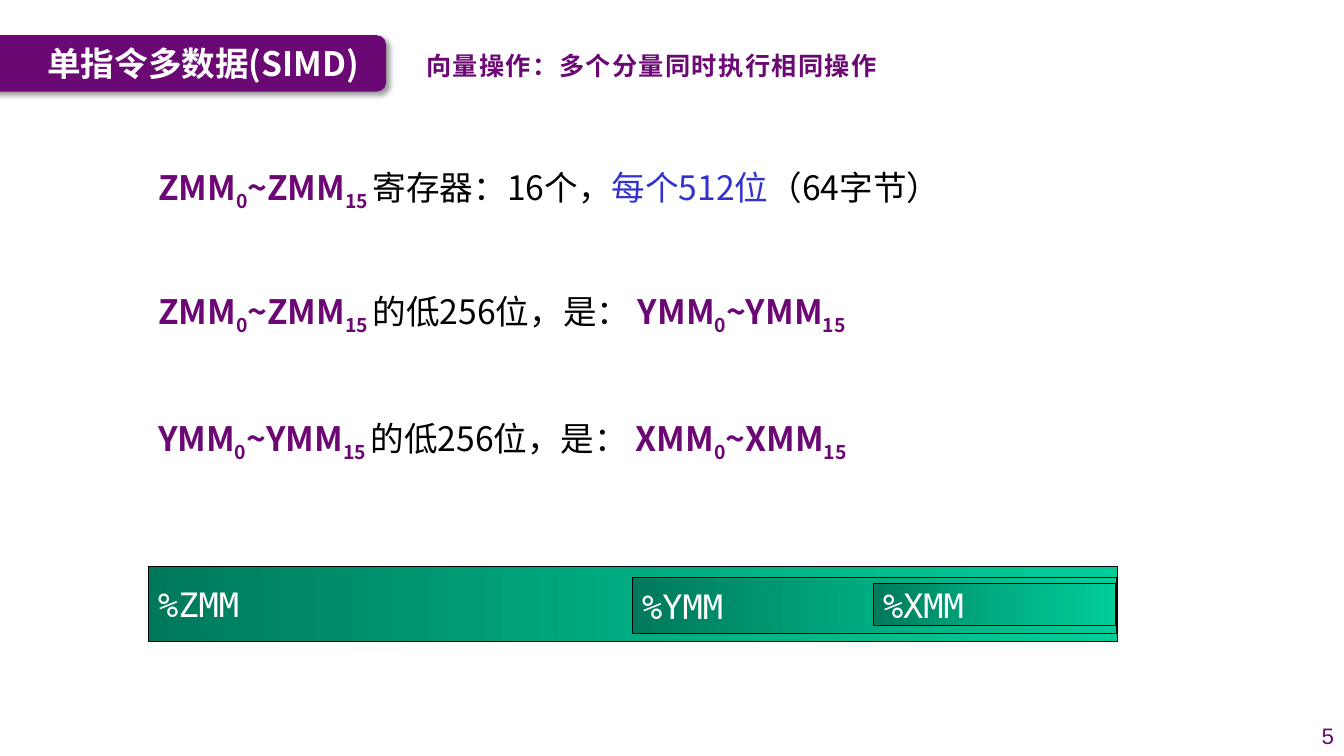
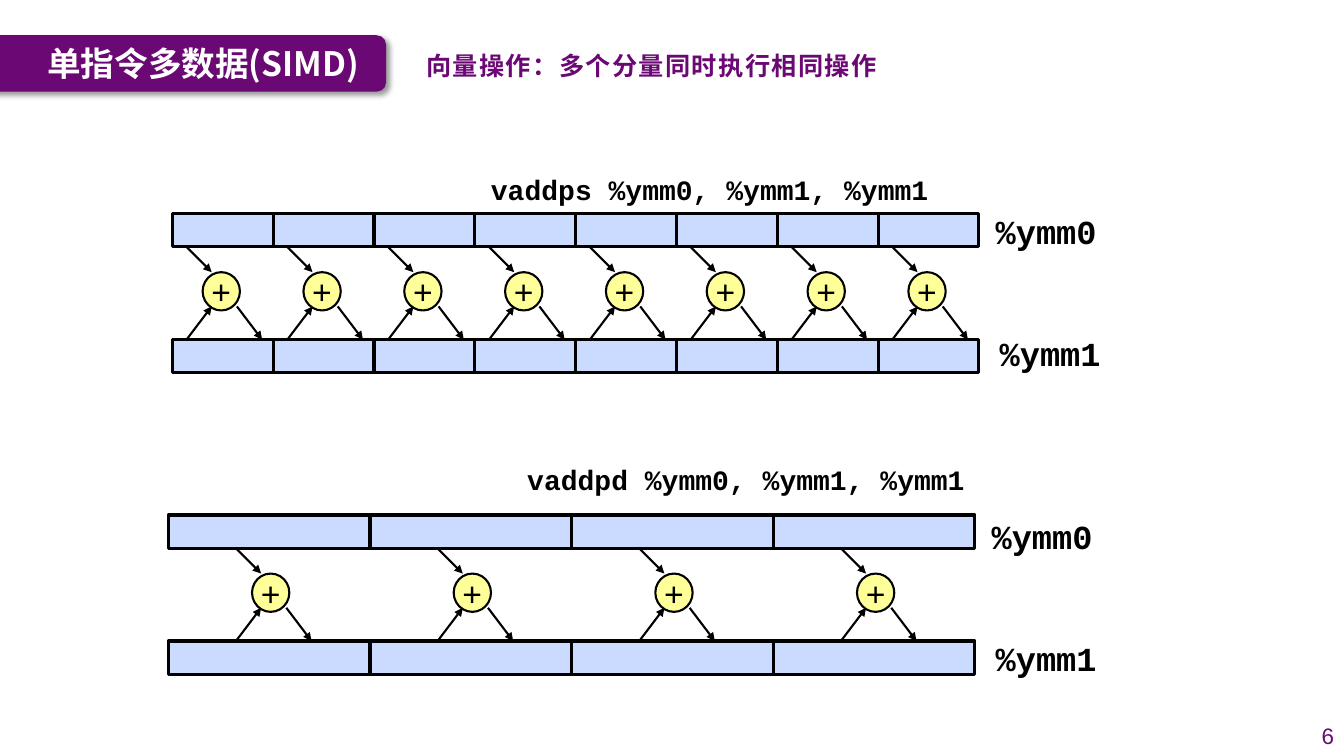
from copy import deepcopy
from dataclasses import dataclass
from typing import NamedTuple

from lxml.etree import SubElement
from pptx import Presentation
from pptx.dml.color import RGBColor
from pptx.enum.shapes import MSO_CONNECTOR, MSO_SHAPE
from pptx.enum.text import MSO_ANCHOR, PP_ALIGN
from pptx.oxml.ns import qn
from pptx.util import Inches, Pt

BAND = RGBColor(0x6A, 0x08, 0x74)
PLUM = RGBColor(0x6B, 0x08, 0x74)
BLUE = RGBColor(0x33, 0x33, 0xCC)
BLACK = RGBColor(0, 0, 0)
WHITE = RGBColor(0xFF, 0xFF, 0xFF)
CELL = RGBColor(0xCB, 0xDB, 0xFF)
LEMON = RGBColor(0xFF, 0xFF, 0x99)
GREENS = (
    (0, RGBColor(0x00, 0x79, 0x5B)),
    (0.5, RGBColor(0x00, 0xAC, 0x81)),
    (1, RGBColor(0x00, 0xCC, 0x99)),
)
SANS = "Noto Sans CJK SC"
MONO = "DejaVu Sans Mono"
CODE = "Courier New"
TIGHT = 0.05


class Box(NamedTuple):
    left: float
    top: float
    width: float
    height: float


class Run(NamedTuple):
    text: str
    color: RGBColor = BLACK
    bold: bool = False
    sub: bool = False


class Style(NamedTuple):
    font: str
    size: int
    align: PP_ALIGN = PP_ALIGN.LEFT
    anchor: MSO_ANCHOR = MSO_ANCHOR.TOP
    wrap: bool = True
    inset: float = 0.1
    lines: float = 1
    track: int = 0


HEAD = Style(SANS, 24, anchor=MSO_ANCHOR.MIDDLE)
LEAD = Style(SANS, 18, wrap=False, track=100)
PAGE = Style("Arial", 16, PP_ALIGN.RIGHT, MSO_ANCHOR.MIDDLE)
BODY = Style(SANS, 24, lines=1.05)
BAR = Style(MONO, 24, anchor=MSO_ANCHOR.MIDDLE)
NAME = Style(CODE, 24, PP_ALIGN.CENTER, wrap=False, inset=TIGHT)
CALL = NAME._replace(size=20)
PLUS = NAME._replace(anchor=MSO_ANCHOR.MIDDLE)


@dataclass
class Sum:
    code: str
    spot: Box
    left: float
    top: float
    count: int
    pitch: float
    inset: float
    drop: float


SUMS = (
    Sum("vaddps %ymm0, %ymm1, %ymm1", Box(4.8, 1.66, 4.48, 0.44),
        1.71, 2.12, 8, 1, 0.3, -0.08),
    Sum("vaddpd %ymm0, %ymm1, %ymm1", Box(5.16, 4.54, 4.48, 0.44),
        1.67, 5.11, 4, 2, 0.83, -0.04),
)
ROW = 1.25
ARROWS = (
    ((-0.16, 0.33), (0.09, 0.58)),
    ((-0.16, ROW), (0.09, 0.92)),
    ((0.34, 0.92), (0.59, ROW)),
)
BARS = (
    ("%ZMM", Box(1.47, 5.62, 9.61, 0.74)),
    ("%YMM", Box(6.27, 5.73, 4.8, 0.56)),
    ("%XMM", Box(8.66, 5.79, 2.4, 0.42)),
)


def place(box: Box) -> list:
    return [Inches(side) for side in box]


def write(shape, runs: list[Run], style: Style) -> None:
    frame = shape.text_frame
    frame.word_wrap = style.wrap
    frame.vertical_anchor = style.anchor
    frame.margin_left = frame.margin_right = Inches(style.inset)
    frame.margin_top = frame.margin_bottom = Inches(TIGHT)
    para = frame.paragraphs[0]
    para.alignment = style.align
    para.line_spacing = style.lines
    for item in runs:
        run = para.add_run()
        run.text = item.text
        font = run.font
        font.name = style.font
        font.size = Pt(style.size)
        font.bold = item.bold
        font.color.rgb = item.color
        props = run._r.get_or_add_rPr()
        SubElement(props, qn("a:ea")).set("typeface", style.font)
        if item.sub:
            props.set("baseline", "-25000")
        if style.track:
            props.set("spc", str(style.track))


def label(slide, box: Box, runs: list[Run], style: Style) -> None:
    write(slide.shapes.add_textbox(*place(box)), runs, style)


def form(slide, kind: MSO_SHAPE, box: Box, fill: RGBColor | None, line: float):
    shape = slide.shapes.add_shape(kind, *place(box))
    shape.shadow.inherit = False
    if fill is not None:
        shape.fill.solid()
        shape.fill.fore_color.rgb = fill
    if line:
        shape.line.color.rgb = BLACK
        shape.line.width = Pt(line)
    else:
        shape.line.fill.background()
    return shape


def shade(shape) -> None:
    effects = shape._element.spPr.find(qn("a:effectLst"))
    cast = SubElement(effects, qn("a:outerShdw"), blurRad=str(Pt(4)),
                      dist=str(Pt(3)), dir="2700000", algn="tl", rotWithShape="0")
    tint = SubElement(cast, qn("a:srgbClr"), val=str(BLACK))
    SubElement(tint, qn("a:alpha"), val="40000")


def blend(shape) -> None:
    fill = shape.fill
    fill.gradient()
    fill.gradient_angle = 0
    stops = shape._element.spPr.find(".//" + qn("a:gsLst"))
    stops.append(deepcopy(stops[0]))
    for stop, (pos, color) in zip(fill.gradient_stops, GREENS):
        stop.position = pos
        stop.color.rgb = color


def arrow(slide, start: tuple, end: tuple) -> None:
    ends = [Inches(part) for part in (*start, *end)]
    link = slide.shapes.add_connector(MSO_CONNECTOR.STRAIGHT, *ends)
    link.line.color.rgb = BLACK
    link.line.width = Pt(1.5)
    SubElement(link.line._get_or_add_ln(), qn("a:tailEnd"), type="triangle")
    SubElement(link._element.spPr, qn("a:effectLst"))


def start(deck, page: int):
    slide = deck.slides.add_slide(deck.slide_layouts[6])
    shade(form(slide, MSO_SHAPE.ROUNDED_RECTANGLE,
               Box(-0.2, 0.35, 4.03, 0.56), BAND, 0))
    label(slide, Box(0.37, 0.35, 3.46, 0.55),
          [Run("单指令多数据(SIMD)", WHITE, True)], HEAD)
    label(slide, Box(12.78, 7.1, 0.55, 0.4), [Run(str(page), BAND)], PAGE)
    label(slide, Box(4.13, 0.45, 4.73, 0.4),
          [Run("向量操作：多个分量同时执行相同操作", PLUM, True)], LEAD)
    return slide


def span(name: str, tail: str = "") -> list[Run]:
    parts = ((name, False), ("0", True), (f"~{name}", False), (f"15{tail}", True))
    return [Run(text, PLUM, True, sub) for text, sub in parts]


def files(deck) -> None:
    slide = start(deck, 5)
    low = Run("的低256位，是： ")
    rows = (
        (1.58, [*span("ZMM", " "), Run("寄存器：16个，"),
                Run("每个512位", BLUE), Run("（64字节）")]),
        (2.81, [*span("ZMM", " "), low, *span("YMM")]),
        (4.07, [*span("YMM", " "), low, *span("XMM")]),
    )
    for top, runs in rows:
        label(slide, Box(1.47, top, 9.4, 0.56), runs, BODY)
    for name, box in BARS:
        bar = form(slide, MSO_SHAPE.RECTANGLE, box, None, 0.75)
        blend(bar)
        write(bar, [Run(name, WHITE)], BAR)


def cells(slide, item: Sum, top: float) -> None:
    for col in range(item.count):
        box = Box(item.left + col * item.pitch, top, item.pitch, 0.33)
        form(slide, MSO_SHAPE.RECTANGLE, box, CELL, 2.25)


def adder(slide, left: float, top: float) -> None:
    disc = form(slide, MSO_SHAPE.OVAL, Box(left, top + 0.58, 0.37, 0.38), LEMON, 1.5)
    write(disc, [Run("+")], PLUS)
    for ends in ARROWS:
        arrow(slide, *((left + x, top + y) for x, y in ends))


def draw(slide, item: Sum) -> None:
    label(slide, item.spot, [Run(item.code, bold=True)], CALL)
    cells(slide, item, item.top)
    for col in range(item.count):
        adder(slide, item.left + item.inset + col * item.pitch, item.top)
    cells(slide, item, item.top + ROW)
    for row in range(2):
        box = Box(item.left + 8.11 + row * 0.04,
                  item.top + item.drop + row * 1.21, 1.11, 0.5)
        label(slide, box, [Run(f"%ymm{row}", bold=True)], NAME)


def main() -> None:
    deck = Presentation()
    deck.slide_width = Inches(13.33)
    deck.slide_height = Inches(7.5)
    files(deck)
    slide = start(deck, 6)
    for item in SUMS:
        draw(slide, item)
    deck.save("out.pptx")


if __name__ == "__main__":
    main()
